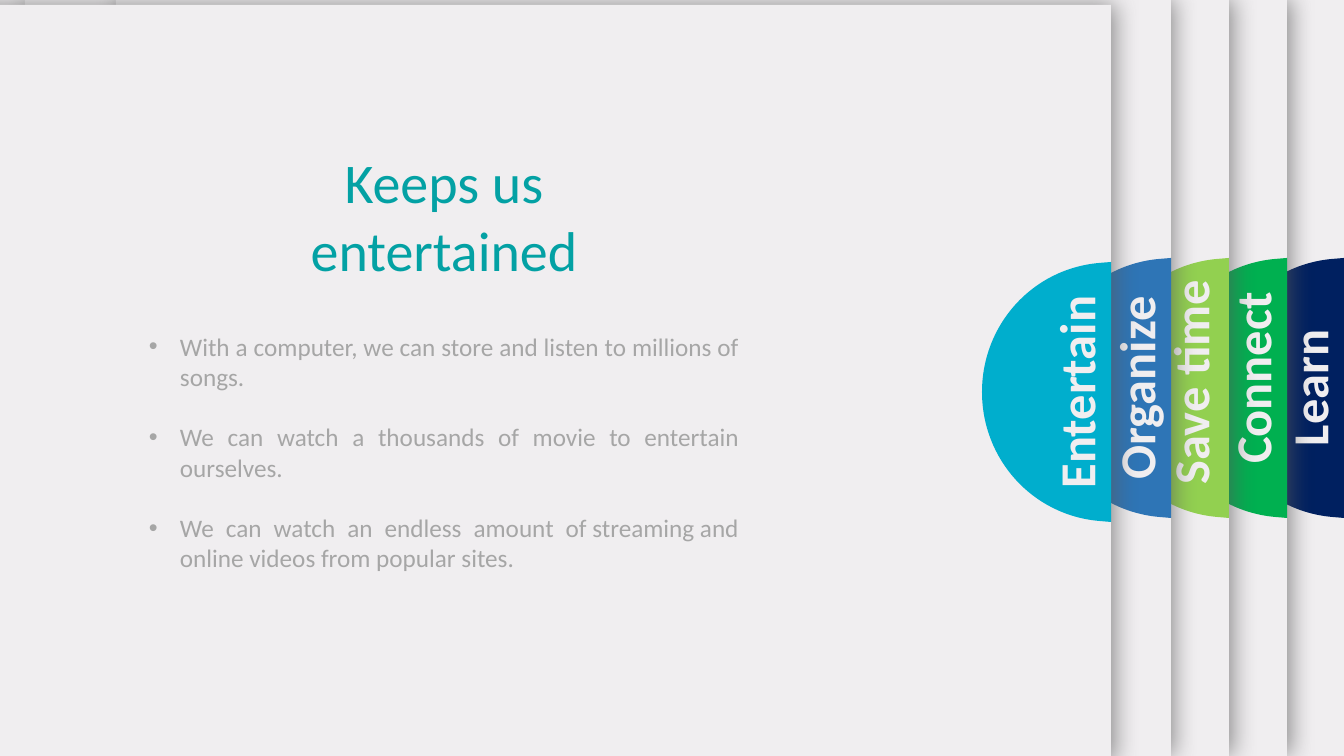
import pptx
import pptx.dml.color
import pptx.enum.shapes
import pptx.enum.text
import pptx.oxml
import pptx.oxml.ns
import pptx.util

EMU_PER_PX = 914400 / 100.8
SLIDE_WIDTH, SLIDE_HEIGHT = 1344, 756
TAB_WIDTH, TAB_HEIGHT = 129, 260
TAB_CORNERS = [(129, 0), (129, 260), (117, 259), (0, 130), (117, 1)]
TAB_HANDLES = [[(50, 253), (0, 197)], [(0, 63), (50, 7)]]
LABEL_HEIGHT = 72
HARD_SPACE = chr(160)
COLORS = {
    "sheet": "F0EEF0",
    "shadow": "595959",
    "learn": "002060",
    "connect": "00B050",
    "save": "92D050",
    "organize": "2E75B6",
    "entertain": "00AECD",
    "title": "03A1A4",
    "body": "A6A6A6",
}
ALIGN = pptx.enum.text.PP_ALIGN
LABEL_FORMAT = {"name": "Calibri", "size": pptx.util.Pt(36), "bold": True}
TITLE_FORMAT = {"name": "Calibri", "size": pptx.util.Pt(40)}
BODY_FORMAT = {"name": "Calibri", "size": pptx.util.Pt(18)}
PANELS = [
    ("Learn", "learn", -32, 1344, 0, 258, 1309, 388, 220),
    ("Connect", "connect", 25, 1287, 0, 258, 1252, 378, 220),
    ("Save time", "save", 130, 1229, 0, 258, 1190, 382, 240),
    ("Organize", "organize", 116, 1171, 0, 258, 1136, 388, 220),
    ("Entertain", "entertain", -197, 1111, 5, 262, 1076, 392, 220),
]
BENEFITS = [
    "With a computer, we can store and listen to millions of songs.",
    "We can watch a thousands of movie to entertain ourselves.",
    "We can watch an endless amount "
    + HARD_SPACE.join(["of", "streaming", "and online videos from popular sites."]),
]


def px(length):
    return pptx.util.Emu(round(length * EMU_PER_PX))


def rgb(color):
    return pptx.dml.color.RGBColor.from_string(COLORS[color])


def paint(shape, color):
    shape.shadow.inherit = False
    shape.fill.solid()
    shape.fill.fore_color.rgb = rgb(color)
    shape.line.fill.background()


def add_sheet(slide, left, right, top):
    sheet = slide.shapes.add_shape(
        pptx.enum.shapes.MSO_SHAPE.RECTANGLE,
        px(left), px(top), px(right - left), px(SLIDE_HEIGHT),
    )
    paint(sheet, "sheet")
    effects = sheet._element.spPr.find(pptx.oxml.ns.qn("a:effectLst"))
    effects.append(pptx.oxml.parse_xml(
        f'<a:outerShdw {pptx.oxml.ns.nsdecls("a")} blurRad="{pptx.util.Pt(17)}" '
        f'dist="{pptx.util.Pt(3)}" dir="0" algn="l" rotWithShape="0">'
        f'<a:srgbClr val="{COLORS["shadow"]}"><a:alpha val="65000"/></a:srgbClr>'
        '</a:outerShdw>'
    ))


def add_half_disc(slide, right, top, color):
    left = right - TAB_WIDTH
    corners = [(px(left + x), px(top + y)) for x, y in TAB_CORNERS]
    builder = slide.shapes.build_freeform(*corners[0])
    builder.add_line_segments(corners[1:], close=True)
    tab = builder.convert_to_shape()
    sides = list(tab._element.iter(pptx.oxml.ns.qn("a:lnTo")))
    for side, handles, end in zip(sides[-2:], TAB_HANDLES, TAB_CORNERS[-2:]):
        points = "".join(
            f'<a:pt x="{px(x)}" y="{px(y)}"/>' for x, y in [*handles, end]
        )
        curve = pptx.oxml.parse_xml(
            f'<a:cubicBezTo {pptx.oxml.ns.nsdecls("a")}>{points}</a:cubicBezTo>'
        )
        side.getparent().replace(side, curve)
    paint(tab, color)


def add_bullet(paragraph):
    properties = paragraph._p.get_or_add_pPr()
    indent = px(31)
    properties.set("marL", str(indent))
    properties.set("indent", str(-indent))
    for markup in ('buFont {} typeface="Arial"', 'buChar {} char="•"'):
        properties.append(pptx.oxml.parse_xml(
            f'<a:{markup.format(pptx.oxml.ns.nsdecls("a"))}/>'
        ))


def add_text(slide, box, lines, color, align, font_format, bulleted=False):
    holder = slide.shapes.add_textbox(*map(px, box))
    frame = holder.text_frame
    frame.word_wrap = True
    frame.auto_size = pptx.enum.text.MSO_AUTO_SIZE.SHAPE_TO_FIT_TEXT
    for index, line in enumerate(lines):
        paragraph = frame.add_paragraph() if index else frame.paragraphs[0]
        paragraph.alignment = align
        if index:
            paragraph.space_before = pptx.util.Pt(21.6)
        if bulleted:
            add_bullet(paragraph)
        run = paragraph.add_run()
        run.text = line
        for attribute, value in font_format.items():
            setattr(run.font, attribute, value)
        run.font.color.rgb = rgb(color)
    return holder


def add_panel(slide, name, color, left, right, top, tab_top, center_x, center_y, width):
    add_sheet(slide, left, right, top)
    add_half_disc(slide, right, tab_top, color)
    box = (center_x - width / 2, center_y - LABEL_HEIGHT / 2, width, LABEL_HEIGHT)
    label = add_text(slide, box, [name], "sheet", ALIGN.CENTER, LABEL_FORMAT)
    label.rotation = 270


def main():
    presentation = pptx.Presentation()
    presentation.slide_width = px(SLIDE_WIDTH)
    presentation.slide_height = px(SLIDE_HEIGHT)
    slide = presentation.slides.add_slide(presentation.slide_layouts[6])
    for panel in PANELS:
        add_panel(slide, *panel)
    add_text(slide, (197, 143, 494, 78), ["Keeps us entertained"],
             "title", ALIGN.CENTER, TITLE_FORMAT)
    add_text(slide, (139, 326, 610, 285), BENEFITS,
             "body", ALIGN.JUSTIFY, BODY_FORMAT, bulleted=True)
    presentation.save("out.pptx")


if __name__ == "__main__":
    main()
